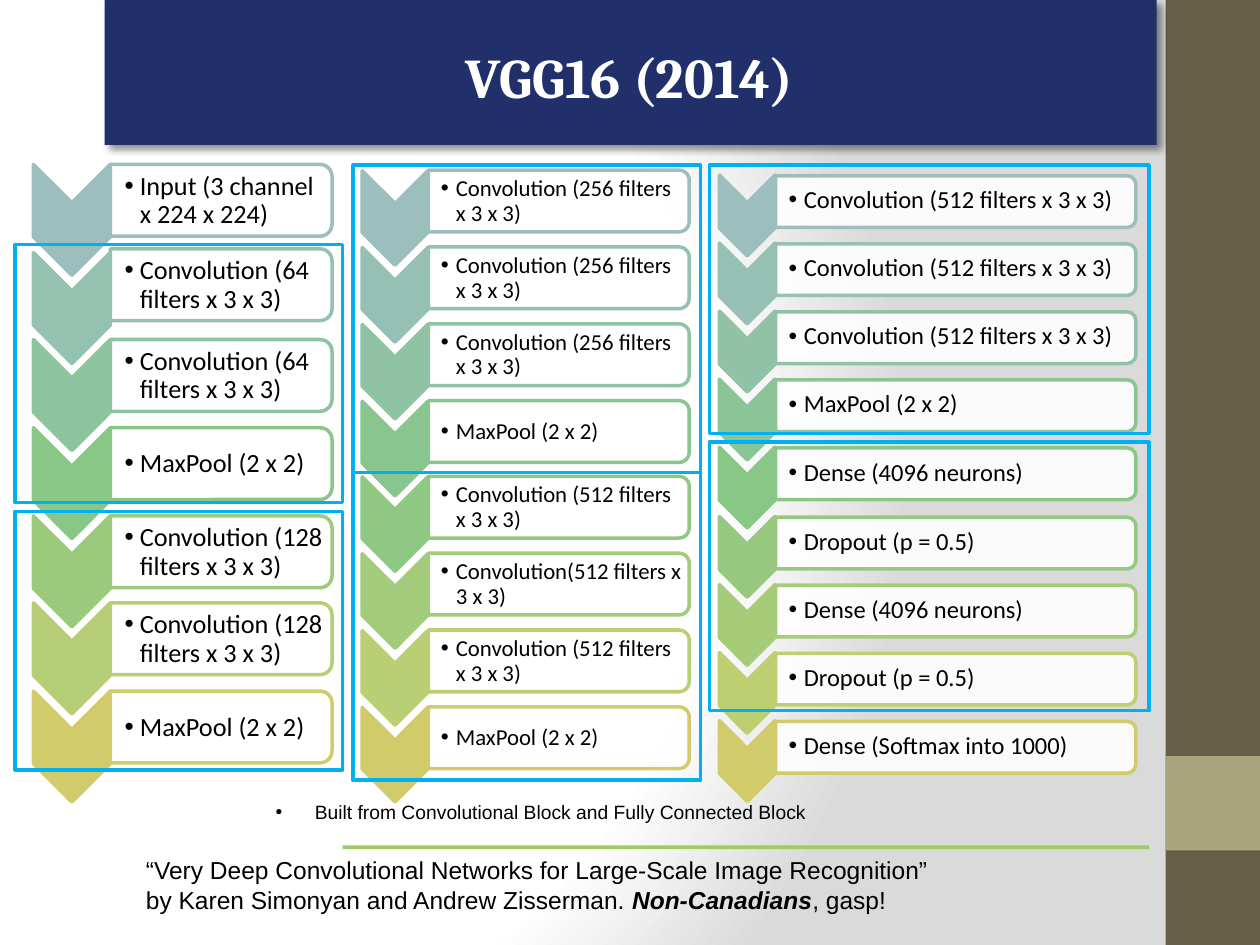
import colorsys

import lxml.etree
import pptx
import pptx.dml.color
import pptx.enum.shapes
import pptx.enum.text
import pptx.oxml
import pptx.oxml.ns
import pptx.util

SHAPE = pptx.enum.shapes.MSO_SHAPE
ANCHOR = pptx.enum.text.MSO_ANCHOR
ALIGN = pptx.enum.text.PP_ALIGN
qn = pptx.oxml.ns.qn
DRAWING = pptx.oxml.ns.nsdecls("a")

COLORS = {
    "white": "FFFFFF",
    "black": "000000",
    "mist": "DADADA",
    "navy": "21306B",
    "olive": "675E47",
    "sand": "A9A57C",
    "rule": "9ACD66",
    "frame": "00B0F0",
    "first": "9CBEBD",
    "last": "D2CB6C",
}


def blend(share):
    start, end = [
        colorsys.rgb_to_hls(*(int(COLORS[name][i:i + 2], 16) / 255 for i in (0, 2, 4)))
        for name in ("first", "last")
    ]
    mixed = colorsys.hls_to_rgb(*(a + (b - a) * share for a, b in zip(start, end)))
    return "".join(f"{round(part * 255):02X}" for part in mixed)


class SlideBuilder:
    scale = 9144

    def __init__(self, deck):
        self.page = deck.slides.add_slide(deck.slide_layouts[5])

    def emu(self, *lengths):
        return [pptx.util.Emu(length * self.scale) for length in lengths]

    def color(self, value):
        return pptx.dml.color.RGBColor.from_string(COLORS.get(value, value))

    def background(self):
        fill = self.page.background.fill
        fill.solid()
        properties = self.page.element.cSld.find(qn("p:bg")).find(qn("p:bgPr"))
        stops = "".join(
            f'<a:gs pos="{place}"><a:srgbClr val="{COLORS[name]}"/></a:gs>'
            for place, name in ((0, "white"), (75000, "white"), (100000, "mist"))
        )
        gradient = pptx.oxml.parse_xml(
            f'<a:gradFill {DRAWING} rotWithShape="1"><a:gsLst>{stops}</a:gsLst>'
            '<a:path path="circle"><a:fillToRect l="20000" t="50000" r="100000" b="50000"/>'
            '</a:path></a:gradFill>'
        )
        properties.replace(properties.find(qn("a:solidFill")), gradient)

    def shape(self, kind, frame, fill=None, line=None, turn=0, opacity=100, group=None):
        box = (group or self.page).shapes.add_shape(kind, *self.emu(*frame))
        box.shadow.inherit = False
        box.rotation = turn
        if fill:
            box.fill.solid()
            box.fill.fore_color.rgb = self.color(fill)
            if opacity < 100:
                paint = box._element.spPr.find(qn("a:solidFill"))[0]
                lxml.etree.SubElement(paint, qn("a:alpha"), val=str(opacity * 1000))
        else:
            box.fill.background()
        if line:
            box.line.color.rgb = self.color(line)
            box.line.width = pptx.util.Pt(2)
        else:
            box.line.fill.background()
        return box

    def cast_shadow(self, box):
        effects = box._element.spPr.find(qn("a:effectLst"))
        effects.append(pptx.oxml.parse_xml(
            f'<a:outerShdw {DRAWING} blurRad="50800" dist="38100" dir="2700000" algn="tl" '
            f'rotWithShape="0"><a:srgbClr val="{COLORS["black"]}"><a:alpha val="43000"/>'
            '</a:srgbClr></a:outerShdw>'
        ))

    def add_spans(self, para, spans, font, size, color="black"):
        for text, strong, slanted in spans:
            span = para.add_run()
            span.text = text
            span.font.name = font
            span.font.size = pptx.util.Pt(size)
            span.font.bold = strong
            span.font.italic = slanted
            span.font.color.rgb = self.color(color)

    def title(self, text, frame):
        box = self.page.shapes.title
        box.left, box.top, box.width, box.height = self.emu(*frame)
        self.page.shapes._spTree.append(box._element)
        box.text_frame.auto_size = pptx.enum.text.MSO_AUTO_SIZE.NONE
        box.text_frame.vertical_anchor = ANCHOR.TOP
        para = box.text_frame.paragraphs[0]
        para.alignment = ALIGN.CENTER
        self.add_spans(para, [(text, True, False)], "Cambria", 32, "white")

    def text(self, frame, spans, font, size, bullet=0, insets=None, group=None):
        box = (group or self.page).shapes.add_textbox(*self.emu(*frame))
        body = box.text_frame
        body.word_wrap = True
        para = body.paragraphs[0]
        if insets:
            body.margin_left, body.margin_top, body.margin_right, body.margin_bottom = self.emu(*insets)
            body.vertical_anchor = ANCHOR.MIDDLE
            para.line_spacing = 0.9
        if bullet:
            properties = para._p.get_or_add_pPr()
            indent = bullet * self.scale
            properties.set("marL", str(indent))
            properties.set("indent", str(-indent))
            lxml.etree.SubElement(properties, qn("a:buFont"), typeface="Arial")
            lxml.etree.SubElement(properties, qn("a:buChar"), char="•")
        self.add_spans(para, spans, font, size)

    def layer_column(self, labels, chevron, bar, label_frame, travel, inset, size, nudges):
        group = self.page.shapes.add_group_shape()
        for row, label in enumerate(labels):
            share = row / (len(labels) - 1)
            drop = round(travel * share)
            color = blend(share)

            def lowered(frame, extra=0):
                left, top, width, height = frame
                return left, top + drop + extra, width, height

            nudge = nudges.get(row, 0)
            self.shape(SHAPE.CHEVRON, lowered(chevron), color, color, 90, group=group)
            self.shape(SHAPE.ROUND_2_SAME_RECTANGLE, lowered(bar, nudge), "white", color, 90, 90, group)
            self.text(lowered(label_frame, nudge), [(label, False, False)], "Calibri", size, 12,
                      (inset, 1, 1, 1), group)


def conv(filters):
    return f"Convolution ({filters} filters x 3 x 3)"


POOL = "MaxPool (2 x 2)"
DENSE = ["Dense (4096 neurons)", "Dropout (p = 0.5)"]

COLUMNS = [
    dict(labels=["Input (3 channel x 224 x 224)"] + [conv(64)] * 2 + [POOL] + [conv(128)] * 2 + [POOL],
         chevron=(13, 144, 88, 61), bar=(147, 71, 57, 176), label_frame=(87, 134, 173, 51),
         travel=418, inset=12, size=15, nudges={1: -3}),
    dict(labels=[conv(256)] * 3 + [POOL, conv(512), "Convolution(512 filters x 3 x 3)", conv(512), POOL],
         chevron=(276, 147, 75, 52), bar=(419, 56, 49, 207), label_frame=(340, 138, 205, 44),
         travel=426, inset=10, size=13, nudges={}),
    dict(labels=[conv(512)] * 3 + [POOL] + DENSE * 2 + ["Dense (Softmax into 1000)"],
         chevron=(561, 149, 64, 44), bar=(738, 17, 41, 286), label_frame=(615, 141, 284, 37),
         travel=433, inset=11, size=14, nudges={}),
]

BLOCK_FRAMES = [
    (12, 260, 205, (194, 406)),
    (280, 276, 244, (131, 375)),
    (563, 349, 213, (131, 351)),
]


def main():
    deck = pptx.Presentation()
    deck.slide_width, deck.slide_height = pptx.util.Inches(10), pptx.util.Inches(7.5)
    builder = SlideBuilder(deck)
    builder.background()
    builder.shape(SHAPE.RECTANGLE, (925, 0, 75, 750), "olive")
    builder.shape(SHAPE.RECTANGLE, (925, 600, 75, 75), "sand")
    builder.cast_shadow(builder.shape(SHAPE.RECTANGLE, (83, 0, 835, 115), "navy"))
    builder.shape(SHAPE.RECTANGLE, (272, 671, 640, 3), "rule")
    builder.title("VGG16 (2014)", (319, 29, 362, 64))
    builder.text((106, 674, 646, 57), [
        ("“Very Deep Convolutional Networks for Large-Scale Image Recognition” "
         "by Karen Simonyan and Andrew Zisserman. ", False, False),
        ("Non-Canadians", True, True),
        (", gasp!", False, False),
    ], "Arial", 14)
    builder.text((209, 630, 504, 29),
                 [("Built from Convolutional Block and Fully Connected Block", False, False)],
                 "Arial", 11, bullet=31)
    for column in COLUMNS:
        builder.layer_column(**column)
    for left, width, height, tops in BLOCK_FRAMES:
        for top in tops:
            builder.shape(SHAPE.RECTANGLE, (left, top, width, height), line="frame")
    deck.save("out.pptx")


if __name__ == "__main__":
    main()
